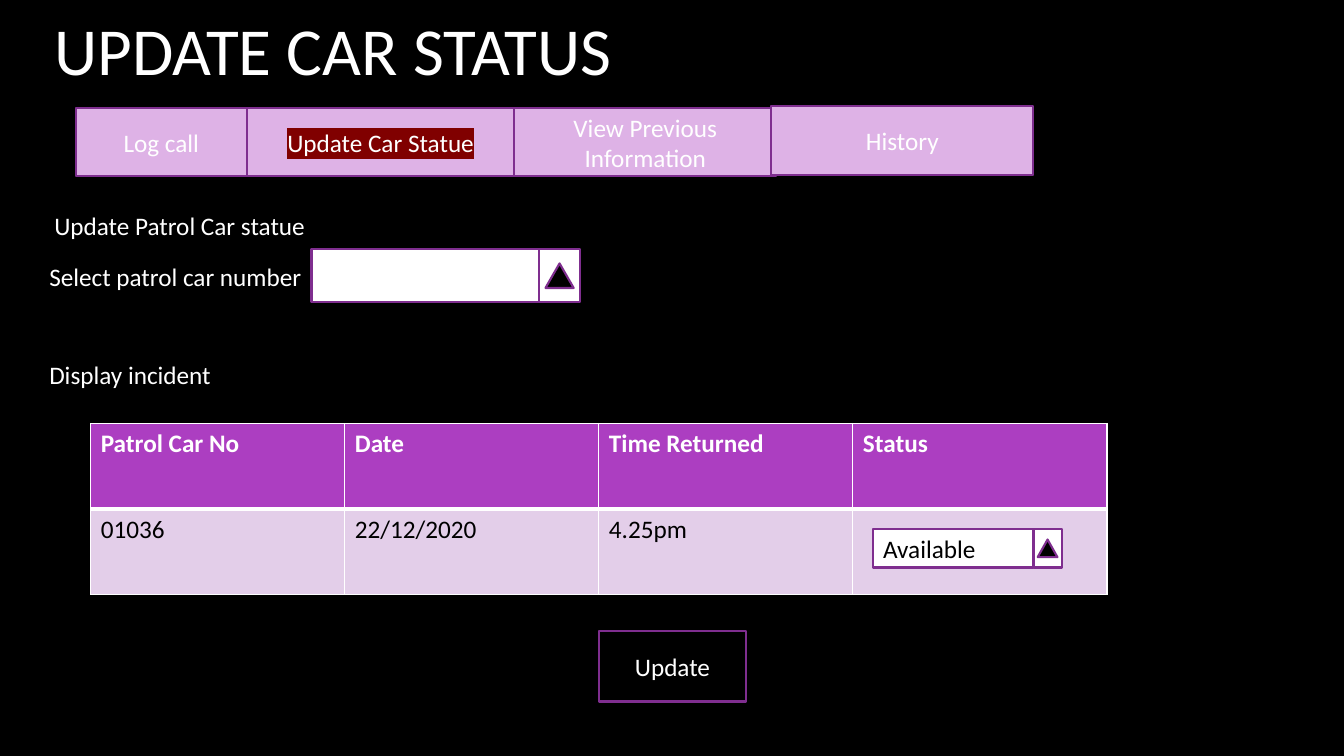
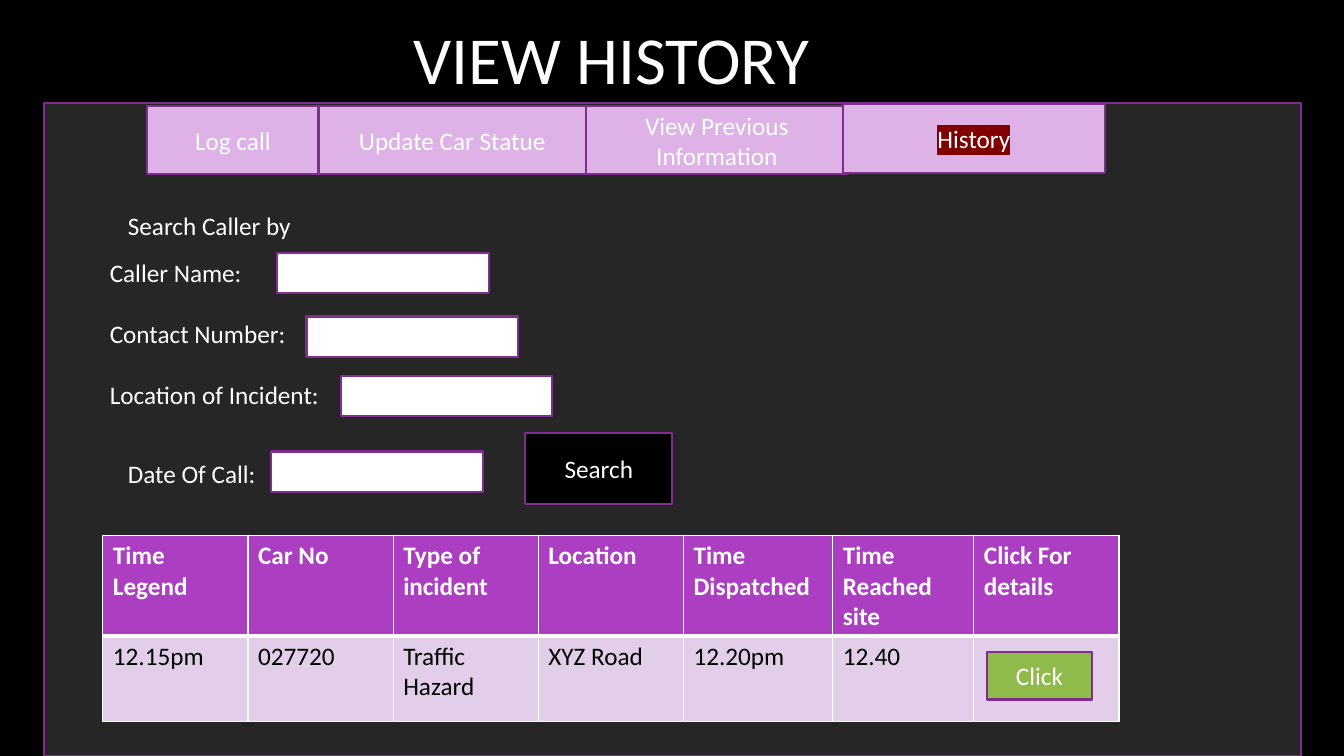
import pptx
import pptx.util
import pptx.dml.color
import pptx.enum.shapes
import pptx.enum.text
import pptx.oxml.ns
import lxml.etree

Inches = pptx.util.Inches
Pt = pptx.util.Pt
RGBColor = pptx.dml.color.RGBColor
SHAPE = pptx.enum.shapes.MSO_SHAPE
ALIGN = pptx.enum.text.PP_ALIGN
ANCHOR = pptx.enum.text.MSO_ANCHOR
qn = pptx.oxml.ns.qn

BLACK = RGBColor(0x00, 0x00, 0x00)
WHITE = RGBColor(0xFF, 0xFF, 0xFF)
CHARCOAL = RGBColor(0x26, 0x26, 0x26)
OUTLINE = RGBColor(0x7F, 0x2E, 0x8F)
TAB_LILAC = RGBColor(0xDE, 0xB2, 0xE6)
HEADER_PURPLE = RGBColor(0xAC, 0x3E, 0xC1)
ROW_LILAC = RGBColor(0xE3, 0xCE, 0xE9)
CLICK_GREEN = RGBColor(0x90, 0xBA, 0x4C)
HIGHLIGHT = RGBColor(0x80, 0x00, 0x00)

FONT = "Calibri"
BODY_SIZE = 18
TITLE_SIZE = 48
TABS = [
    ("Log call", 0, 0.02, 1.7, 0.68),
    ("Update Car Statue", 1.7, 0.02, 2.65, 0.68),
    ("View Previous Information", 4.35, 0.02, 2.6, 0.68),
    ("History", 6.9, 0, 2.6, 0.69),
]


def write(frame, text, color=WHITE, size=BODY_SIZE, align=ALIGN.LEFT, bold=False, gap=0):
    frame.text = text
    for index, paragraph in enumerate(frame.paragraphs):
        paragraph.alignment = align
        if index and gap:
            paragraph.space_before = Pt(gap)
        for run in paragraph.runs:
            run.font.name = FONT
            run.font.size = Pt(size)
            run.font.bold = bold
            run.font.color.rgb = color


def highlight(frame):
    for run in frame.paragraphs[0].runs:
        text_fill = run.font._element.find(qn("a:solidFill"))
        mark = lxml.etree.Element(qn("a:highlight"))
        lxml.etree.SubElement(mark, qn("a:srgbClr")).set("val", str(HIGHLIGHT))
        text_fill.addnext(mark)


def add_box(shapes, left, top, width, height, fill, text="", color=WHITE,
            align=ALIGN.CENTER, kind=SHAPE.RECTANGLE):
    box = shapes.add_shape(kind, Inches(left), Inches(top), Inches(width), Inches(height))
    box.shadow.inherit = False
    box.fill.solid()
    box.fill.fore_color.rgb = fill
    box.line.color.rgb = OUTLINE
    box.line.width = Pt(1.5)
    if text:
        box.text_frame.vertical_anchor = ANCHOR.MIDDLE
        write(box.text_frame, text, color, align=align)
    return box


def add_label(slide, left, top, text, height=0.4, gap=0):
    label = slide.shapes.add_textbox(Inches(left), Inches(top), Inches(3.18), Inches(height))
    label.text_frame.word_wrap = True
    write(label.text_frame, text, gap=gap)


def add_button(slide, left, top, text):
    add_box(slide.shapes, left, top, 1.46, 0.7, BLACK, text, kind=SHAPE.FLOWCHART_PROCESS)


def add_tabs(slide, left, top, active):
    for name, dx, dy, width, height in TABS:
        tab = add_box(slide.shapes, left + dx, top + dy, width, height, TAB_LILAC, name)
        if name == active:
            highlight(tab.text_frame)


def add_dropdown(slide, left, top, width, height, arrow_width, text=""):
    shapes = slide.shapes.add_group_shape().shapes
    arrow_left = left + width
    add_box(shapes, left, top, width, height, WHITE, text, BLACK, ALIGN.LEFT)
    add_box(shapes, arrow_left, top, arrow_width, height, WHITE)
    add_box(shapes, arrow_left + 0.15 * arrow_width, top + 0.27 * height,
            0.7 * arrow_width, 0.46 * height, BLACK, kind=SHAPE.ISOSCELES_TRIANGLE)


def set_borders(cell, widths):
    properties = cell._tc.get_or_add_tcPr()
    for index, (side, width) in enumerate(widths.items()):
        border = lxml.etree.Element(qn("a:ln" + side))
        border.set("w", str(Pt(width)))
        border_fill = lxml.etree.SubElement(border, qn("a:solidFill"))
        lxml.etree.SubElement(border_fill, qn("a:srgbClr")).set("val", str(WHITE))
        properties.insert(index, border)


def add_records(slide, left, top, columns, row_heights, rows):
    frame = slide.shapes.add_table(len(rows), len(columns), Inches(left), Inches(top),
                                   Inches(sum(columns)), Inches(sum(row_heights)))
    records = frame.table
    for column, width in zip(records.columns, columns):
        column.width = Inches(width)
    for row_index, (values, height) in enumerate(zip(rows, row_heights)):
        records.rows[row_index].height = Inches(height)
        is_header = row_index == 0
        for column_index, value in enumerate(values):
            cell = records.cell(row_index, column_index)
            write(cell.text_frame, value, WHITE if is_header else BLACK, bold=is_header)
            cell.fill.solid()
            cell.fill.fore_color.rgb = HEADER_PURPLE if is_header else ROW_LILAC
            set_borders(cell, {"L": 1, "R": 1, "T": 3 if row_index == 1 else 1,
                               "B": 3 if is_header else 1})


def start_slide(deck, heading, height, align):
    slide = deck.slides.add_slide(deck.slide_layouts[5])
    slide.background.fill.solid()
    slide.background.fill.fore_color.rgb = BLACK
    title = slide.shapes.title
    title.left, title.top = Inches(0.44), Inches(0)
    title.width, title.height = Inches(11.25), Inches(height)
    title.text_frame.vertical_anchor = ANCHOR.BOTTOM
    title.text_frame.auto_size = pptx.enum.text.MSO_AUTO_SIZE.NONE
    write(title.text_frame, heading, size=TITLE_SIZE, align=align)
    return slide


def build_update_slide(deck):
    slide = start_slide(deck, "UPDATE CAR STATUS", 0.93, ALIGN.LEFT)
    add_tabs(slide, 0.75, 1.05, "Update Car Statue")
    add_dropdown(slide, 3.09, 2.47, 2.26, 0.53, 0.4)
    add_label(slide, 0.44, 2.04, "Update Patrol Car statue")
    add_label(slide, 0.39, 2.54, "Select patrol car number")
    add_label(slide, 0.39, 3.52, "Display incident")
    add_records(slide, 0.9, 4.2, [2.52] * 4, [0.85, 0.85], [
        ["Patrol Car No", "Date", "Time Returned", "Status"],
        ["01036", "22/12/2020", "4.25pm", ""],
    ])
    add_dropdown(slide, 8.66, 5.25, 1.59, 0.38, 0.28, "Available")
    add_button(slide, 5.94, 6.26, "Update")


def add_search_form(slide, left, top):
    add_label(slide, left + 0.18, top, "Search Caller by")
    add_label(slide, left, top + 0.46,
              "Caller Name:\nContact Number:\nLocation of Incident:", 1.62, gap=22)
    add_label(slide, left + 0.18, top + 2.46, "Date Of Call:")
    for dx, dy in [(1.76, 0.47), (2.05, 1.1), (2.39, 1.69), (1.7, 2.44)]:
        add_box(slide.shapes, left + dx, top + dy, 2.1, 0.4, WHITE)
    add_button(slide, left + 4.22, top + 2.26, "Search")


def build_history_slide(deck):
    slide = start_slide(deck, "VIEW HISTORY", 1.02, ALIGN.CENTER)
    add_box(slide.shapes, 0.44, 1.02, 12.46, 6.48, CHARCOAL, kind=SHAPE.FLOWCHART_PROCESS)
    add_tabs(slide, 1.46, 1.03, "History")
    add_search_form(slide, 0.99, 2.04)
    add_records(slide, 1.02, 5.31, [1.44] * 4 + [1.48, 1.4, 1.44], [1, 0.85], [
        ["Time Legend", "Car No", "Type of incident", "Location", "Time Dispatched",
         "Time Reached site", "Click For details"],
        ["12.15pm", "027720", "Traffic Hazard", "XYZ Road", "12.20pm", "12.40", ""],
    ])
    add_box(slide.shapes, 9.79, 6.47, 1.04, 0.47, CLICK_GREEN, "Click")


def main():
    deck = pptx.Presentation()
    deck.slide_width = Inches(13.33)
    deck.slide_height = Inches(7.5)
    build_update_slide(deck)
    build_history_slide(deck)
    deck.save("out.pptx")


if __name__ == "__main__":
    main()
